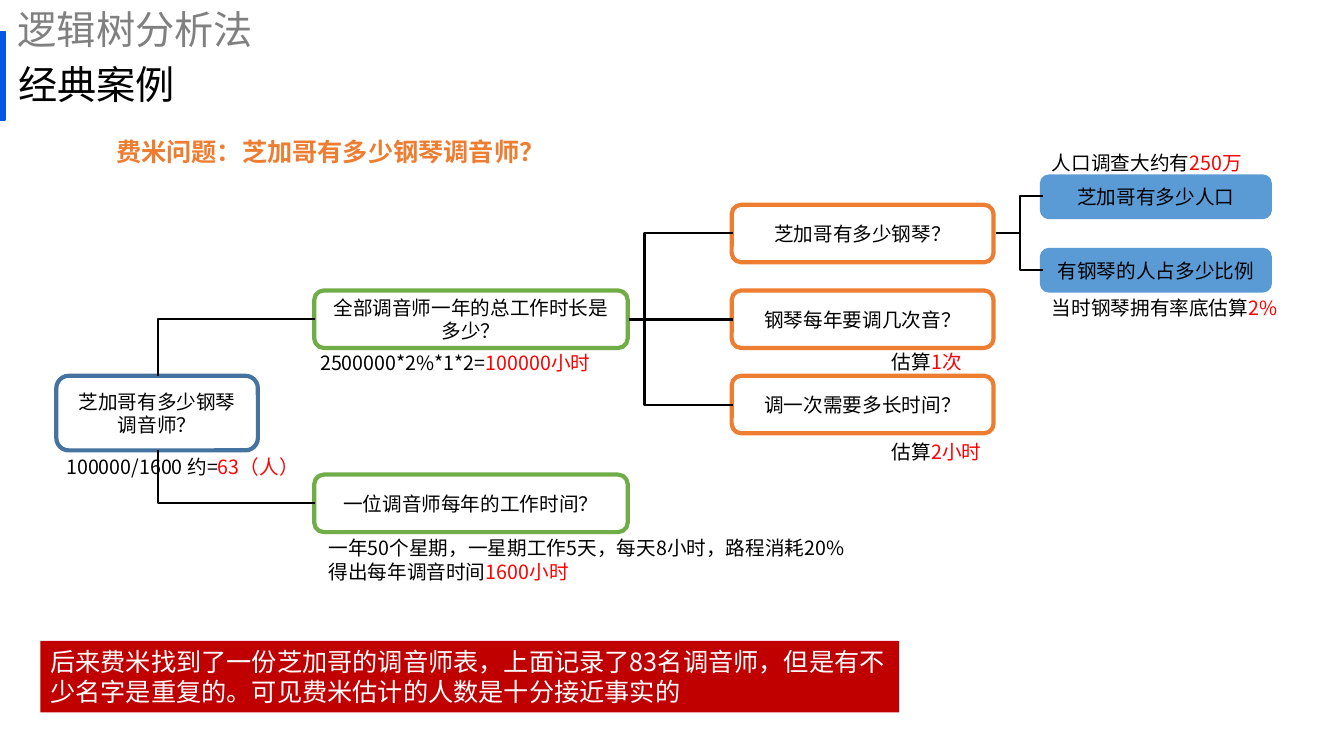
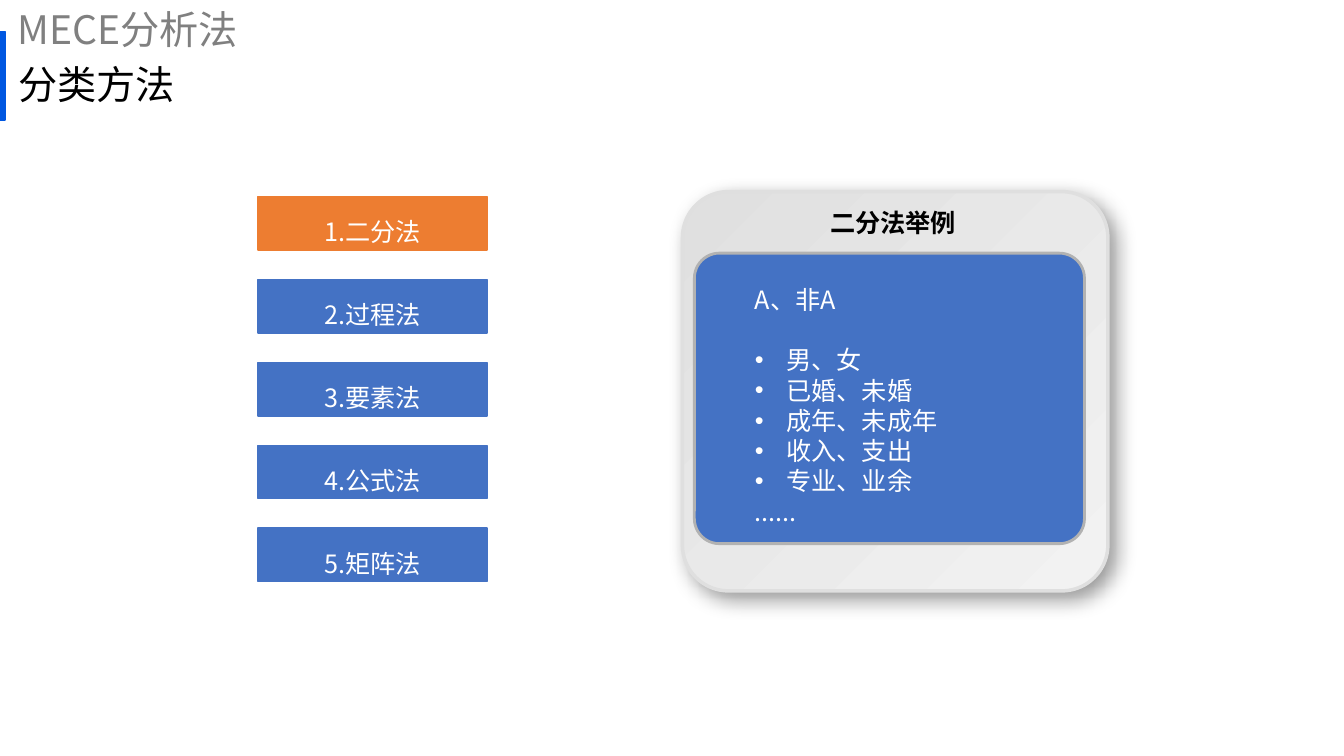
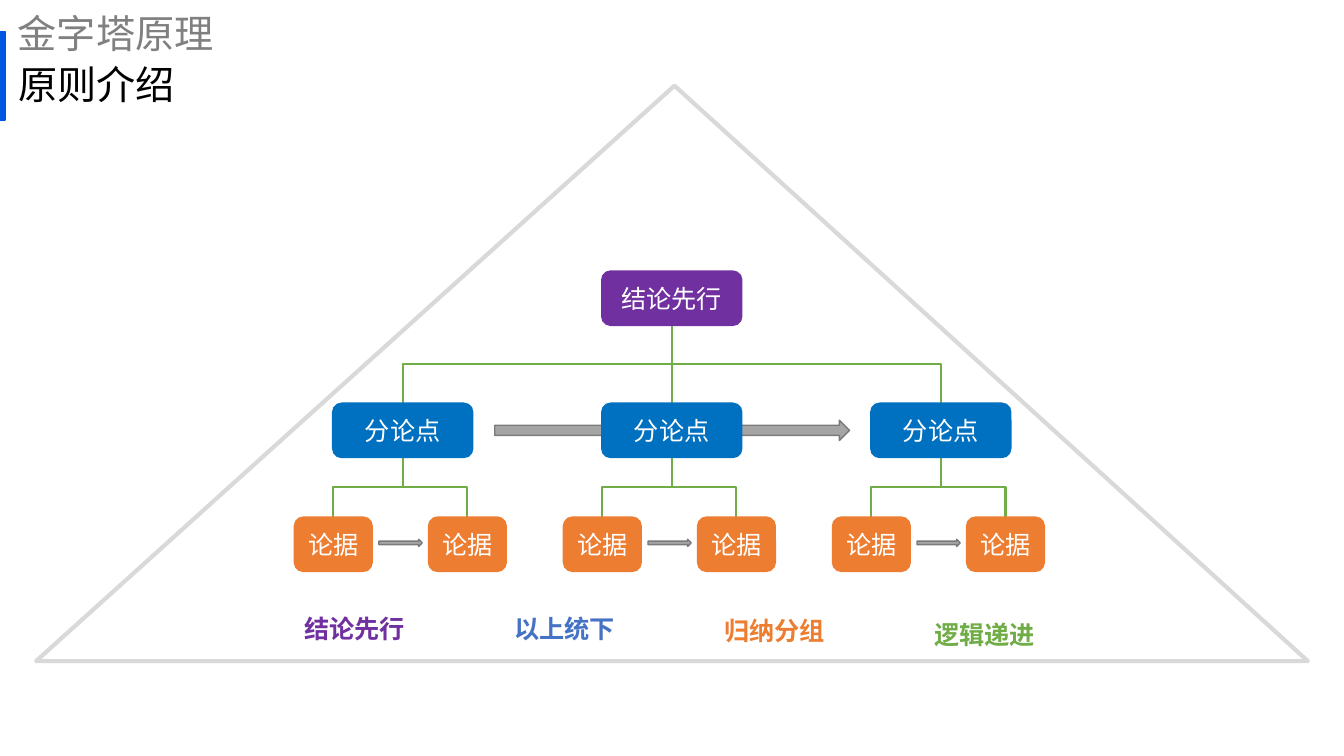
import lxml.etree
import pptx
import pptx.dml.color
import pptx.enum.shapes
import pptx.enum.text
import pptx.oxml.ns
import pptx.util

Cm = pptx.util.Cm
Pt = pptx.util.Pt
RGB = pptx.dml.color.RGBColor
Sub = lxml.etree.SubElement
qn = pptx.oxml.ns.qn
KIND = pptx.enum.shapes.MSO_SHAPE
JOIN = pptx.enum.shapes.MSO_CONNECTOR
MID = pptx.enum.text.MSO_ANCHOR.MIDDLE
TOP = pptx.enum.text.MSO_ANCHOR.TOP
LEFT = pptx.enum.text.PP_ALIGN.LEFT
CENTER = pptx.enum.text.PP_ALIGN.CENTER

FONT = "Noto Sans CJK SC"
BLACK = RGB(0x00, 0x00, 0x00)
WHITE = RGB(0xFF, 0xFF, 0xFF)
GRAY = RGB(0x80, 0x80, 0x80)
PALE = RGB(0xD9, 0xD9, 0xD9)
EDGE = RGB(0xDF, 0xDF, 0xDF)
LIGHT = RGB(0xE0, 0xE0, 0xE0)
MIST = RGB(0xF2, 0xF2, 0xF2)
SILVER = RGB(0xB2, 0xB2, 0xB2)
STEEL = RGB(0xA5, 0xA5, 0xA5)
IRON = RGB(0x7A, 0x7A, 0x7A)
BAND = RGB(0x00, 0x57, 0xE1)
NAVY = RGB(0x43, 0x73, 0x9E)
SKY = RGB(0x5B, 0x9B, 0xD5)
BLUE = RGB(0x44, 0x72, 0xC4)
AZURE = RGB(0x00, 0x70, 0xC0)
ORANGE = RGB(0xED, 0x7D, 0x31)
GREEN = RGB(0x70, 0xAD, 0x47)
PURPLE = RGB(0x70, 0x30, 0xA0)
RED = RGB(0xFF, 0x00, 0x00)
DARK = RGB(0xC0, 0x00, 0x00)


def put(shape, text="", size=18, color=BLACK, bold=False, align=LEFT,
        anchor=TOP, space=1.0, fill=None, line=None, width=1):
    if fill is not None:
        shape.shadow.inherit = False
        shape.fill.solid()
        shape.fill.fore_color.rgb = fill
        if line is None:
            shape.line.fill.background()
        else:
            shape.line.color.rgb = line
            shape.line.width = Pt(width)
    frame = shape.text_frame
    frame.word_wrap = True
    frame.auto_size = pptx.enum.text.MSO_AUTO_SIZE.NONE
    frame.vertical_anchor = anchor
    for i, row in enumerate(text.split("\n") if text else []):
        para = frame.add_paragraph() if i else frame.paragraphs[0]
        para.alignment = align
        para.line_spacing = space
        para.space_before = Pt(0)
        for j, part in enumerate(row.split("|")):
            run = para.add_run()
            run.text = part
            run.font.size = Pt(size)
            run.font.bold = bold
            run.font.color.rgb = RED if j else color
            run.font.name = FONT
            Sub(run._r.get_or_add_rPr(), qn("a:ea"), typeface=FONT)
    return shape


def wire(page, x, y, to_x, to_y, color, bend=0.5, down=False):
    kind = JOIN.STRAIGHT if x == to_x or y == to_y else JOIN.ELBOW
    turn = down and kind == JOIN.ELBOW
    if turn:
        mid_x, mid_y = (x + to_x) / 2, (y + to_y) / 2
        half_x, half_y = (to_y - y) / 2, (to_x - x) / 2
        x, to_x = mid_x - half_x, mid_x + half_x
        y, to_y = mid_y + half_y, mid_y - half_y
    link = page.shapes.add_connector(kind, Cm(x), Cm(y), Cm(to_x), Cm(to_y))
    link.line.color.rgb = color
    link.line.width = Pt(1.5)
    prop = link.element.spPr
    Sub(prop, qn("a:effectLst"))
    if turn:
        prop.find(qn("a:xfrm")).set("rot", "5400000")
    if kind == JOIN.ELBOW:
        guide = prop.find(qn("a:prstGeom")).find(qn("a:avLst"))
        Sub(guide, qn("a:gd"), name="adj1", fmla=f"val {round(bend * 100000)}")


deck = pptx.Presentation()
deck.slide_width = Cm(33.87)
deck.slide_height = Cm(19.05)

heads = [
    ("逻辑树分析法", "经典案例", 5, -0.56, 2.74),
    ("MECE分析法", "分类方法", 1, -0.56, 2.74),
    ("金字塔原理", "原则介绍", 5, 0.05, 1.68),
]
pages = []
for topic, name, index, y, h in heads:
    page = deck.slides.add_slide(deck.slide_layouts[index])
    title = page.shapes.title
    title.left, title.top, title.width, title.height = map(Cm, (0.2, 1.35, 29.2, 1.68))
    put(title, name, size=28, anchor=MID, space=0.9)
    over = page.shapes.add_textbox(Cm(0.2), Cm(y), Cm(29.2), Cm(h))
    put(over, topic, size=28, color=GRAY, anchor=MID, space=0.9)
    pages.append(page)
tree, sort, peak = pages

band = tree.shapes.add_shape(KIND.RECTANGLE, Cm(0), Cm(0.79), Cm(0.13), Cm(2.24))
put(band, fill=BAND, line=BAND)
deck.slide_master.shapes.element.insert(2, band.element)

ask = tree.shapes.add_textbox(Cm(1.52), Cm(3.18), Cm(13.61), Cm(1.37))
put(ask, "费米问题：芝加哥有多少钢琴调音师？", color=ORANGE, bold=True,
    align=CENTER, anchor=MID, space=0.9)

nodes = [
    ("芝加哥有多少钢琴调音师？", 1.42, 9.47, 5.08, 1.88, WHITE, NAVY),
    ("全部调音师一年的总工作时长是多少？", 7.92, 7.32, 7.9, 1.45, WHITE, GREEN),
    ("一位调音师每年的工作时间？", 7.92, 11.96, 7.9, 1.45, WHITE, GREEN),
    ("芝加哥有多少钢琴？", 18.44, 5.16, 6.6, 1.45, WHITE, ORANGE),
    ("钢琴每年要调几次音？", 18.44, 7.32, 6.6, 1.45, WHITE, ORANGE),
    ("调一次需要多长时间？", 18.44, 9.47, 6.6, 1.45, WHITE, ORANGE),
    ("芝加哥有多少人口", 26.26, 4.45, 5.74, 1.02, SKY, SKY),
    ("有钢琴的人占多少比例", 26.26, 6.3, 5.74, 1.02, SKY, SKY),
]
for text, x, y, w, h, fill, line in nodes:
    node = tree.shapes.add_shape(KIND.ROUNDED_RECTANGLE, Cm(x), Cm(y), Cm(w), Cm(h))
    put(node, text, size=14, align=CENTER, anchor=MID, fill=fill, line=line, width=3)

wire(tree, 7.95, 8.05, 3.99, 9.47, BLACK, bend=1)
wire(tree, 7.95, 12.67, 3.99, 11.35, BLACK, bend=1)
for y in (5.87, 8.05, 10.21):
    wire(tree, 15.85, 8.05, 18.47, y, BLACK, bend=0.15)
for y in (4.95, 6.81):
    wire(tree, 25.1, 5.87, 26.29, y, BLACK)

notes = [
    ("人口调查大约有|250万", 26.26, 3.68, 7.6, 0.86),
    ("当时钢琴拥有率底估算|2%", 26.26, 7.32, 7.6, 0.86),
    ("估算|1次", 22.23, 8.69, 7.75, 0.86),
    ("估算|2小时", 22.23, 10.95, 7.75, 0.86),
    ("一年50个星期，一星期工作5天，每天8小时，路程消耗20%\n得出每年调音时间|1600小时",
     8.03, 13.39, 18.67, 1.45),
    ("2500000*2%*1*2=|100000小时", 7.82, 8.71, 8, 0.86),
    ("100000/1600 约=|63（人）", 1.42, 11.35, 8, 0.86),
]
for text, x, y, w, h in notes:
    put(tree.shapes.add_textbox(Cm(x), Cm(y), Cm(w), Cm(h)), text, size=14)

fact = tree.shapes.add_shape(KIND.RECTANGLE, Cm(1.02), Cm(16.15), Cm(21.64), Cm(1.8))
put(fact, "后来费米找到了一份芝加哥的调音师表，上面记录了83名调音师，但是有不少名字是重复的。"
    "可见费米估计的人数是十分接近事实的", color=WHITE, fill=DARK)

ways = ["二分法", "过程法", "要素法", "公式法", "矩阵法"]
for i, way in enumerate(ways):
    tint = BLUE if i else ORANGE
    step = sort.shapes.add_shape(
        KIND.RECTANGLE, Cm(6.5), Cm(4.95 + 2.09 * i), Cm(5.77), Cm(1.35))
    put(step, f"{i + 1}.{way}", color=WHITE, align=CENTER, space=1.5, fill=tint, line=tint)

card = sort.shapes.add_shape(
    KIND.ROUNDED_RECTANGLE, Cm(17.2), Cm(4.83), Cm(10.72), Cm(10.06))
card.adjustments[0] = 0.115
put(card, fill=LIGHT, line=EDGE, width=2.5)
card.fill.gradient()
card.fill.gradient_angle = 315
for stop, tint in zip(card.fill.gradient_stops, (LIGHT, MIST)):
    stop.color.rgb = tint
shade = Sub(card.element.spPr.find(qn("a:effectLst")), qn("a:outerShdw"),
            blurRad=str(Pt(15)), dist=str(Pt(7)), dir="2700000", algn="tl", rotWithShape="0")
Sub(Sub(shade, qn("a:srgbClr"), val=str(BLACK)), qn("a:alpha"), val="40000")

panel = sort.shapes.add_shape(
    KIND.ROUNDED_RECTANGLE, Cm(17.5), Cm(6.38), Cm(9.83), Cm(7.32))
panel.adjustments[0] = 0.086
put(panel, fill=BLUE, line=SILVER, width=2)
label = sort.shapes.add_textbox(Cm(17.2), Cm(5.1), Cm(10.62), Cm(0.97))
put(label, "二分法举例", bold=True, align=CENTER)

body = sort.placeholders[1]
body.left, body.top, body.width, body.height = map(Cm, (18.77, 7.04, 6, 6.4))
put(body, "A、非A\n男、女\n已婚、未婚\n成年、未成年\n收入、支出\n专业、业余\n......", color=WHITE)
rows = body.text_frame.paragraphs
rows[1].space_before = Pt(21.5)
for i, row in enumerate(rows):
    prop = row._p.get_or_add_pPr()
    listed = 0 < i < len(rows) - 1
    dent = Cm(0.79) if listed else 0
    prop.set("marL", str(dent))
    prop.set("indent", str(-dent))
    if listed:
        Sub(prop, qn("a:buFont"), typeface="Arial")
        Sub(prop, qn("a:buChar"), char="•")
    else:
        Sub(prop, qn("a:buNone"))
sort.shapes.element.append(body.element)

hill = peak.shapes.add_shape(
    KIND.ISOSCELES_TRIANGLE, Cm(0.91), Cm(2.16), Cm(32.05), Cm(14.5))
hill.adjustments[0] = 0.502
put(hill, fill=WHITE, line=PALE, width=3)

mid = 16.93
cols = [mid - 6.78, mid, mid + 6.78]
arrows = [(12.47, 10.59, 8.94, 0.51)] + [(x - 0.6, 13.59, 1.09, 0.18) for x in cols]
for x, y, w, h in arrows:
    arrow = peak.shapes.add_shape(KIND.RIGHT_ARROW, Cm(x), Cm(y), Cm(w), Cm(h))
    put(arrow, fill=STEEL, line=IRON)

cells = [("结论先行", mid, 6.83, 3.53, PURPLE)]
for x in cols:
    wire(peak, mid, 8.2, x, 10.16, GREEN, down=True)
    cells.append(("分论点", x, 10.16, 3.53, AZURE))
    for leaf in (x - 1.75, x + 1.63):
        wire(peak, x, 11.53, leaf, 13.03, GREEN, down=True)
        cells.append(("论据", leaf, 13.03, 1.96, ORANGE))
for text, x, y, w, tint in cells:
    cell = peak.shapes.add_shape(
        KIND.ROUNDED_RECTANGLE, Cm(x - w / 2), Cm(y), Cm(w), Cm(1.37))
    put(cell, text, color=WHITE, align=CENTER, anchor=MID, fill=tint, line=tint)

rules = [
    ("结论先行", 15.32, PURPLE),
    ("以上统下", 15.34, BLUE),
    ("归纳分组", 15.37, ORANGE),
    ("逻辑递进", 15.49, GREEN),
]
for i, (text, y, tint) in enumerate(rules):
    rule = peak.shapes.add_textbox(Cm(7.42 + 5.29 * i), Cm(y), Cm(3.3), Cm(1.02))
    put(rule, text, color=tint, bold=True)

deck.save("out.pptx")
